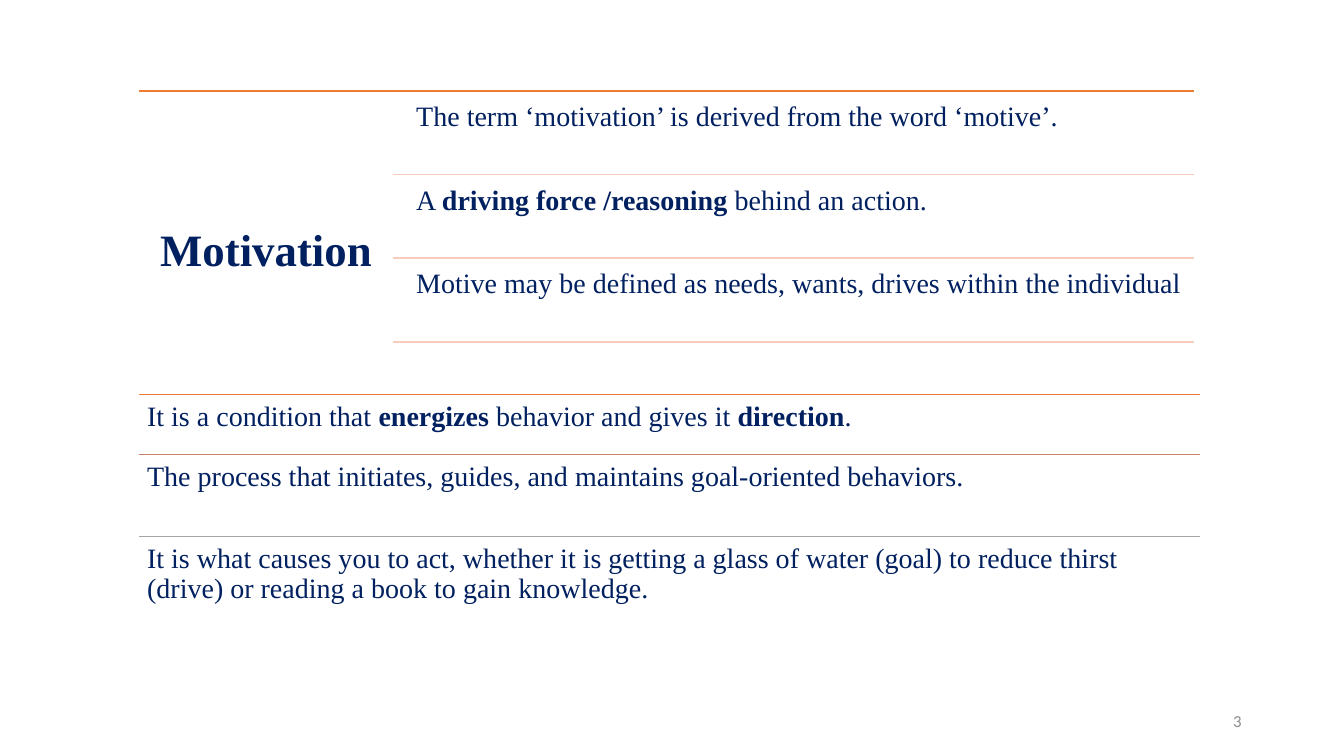
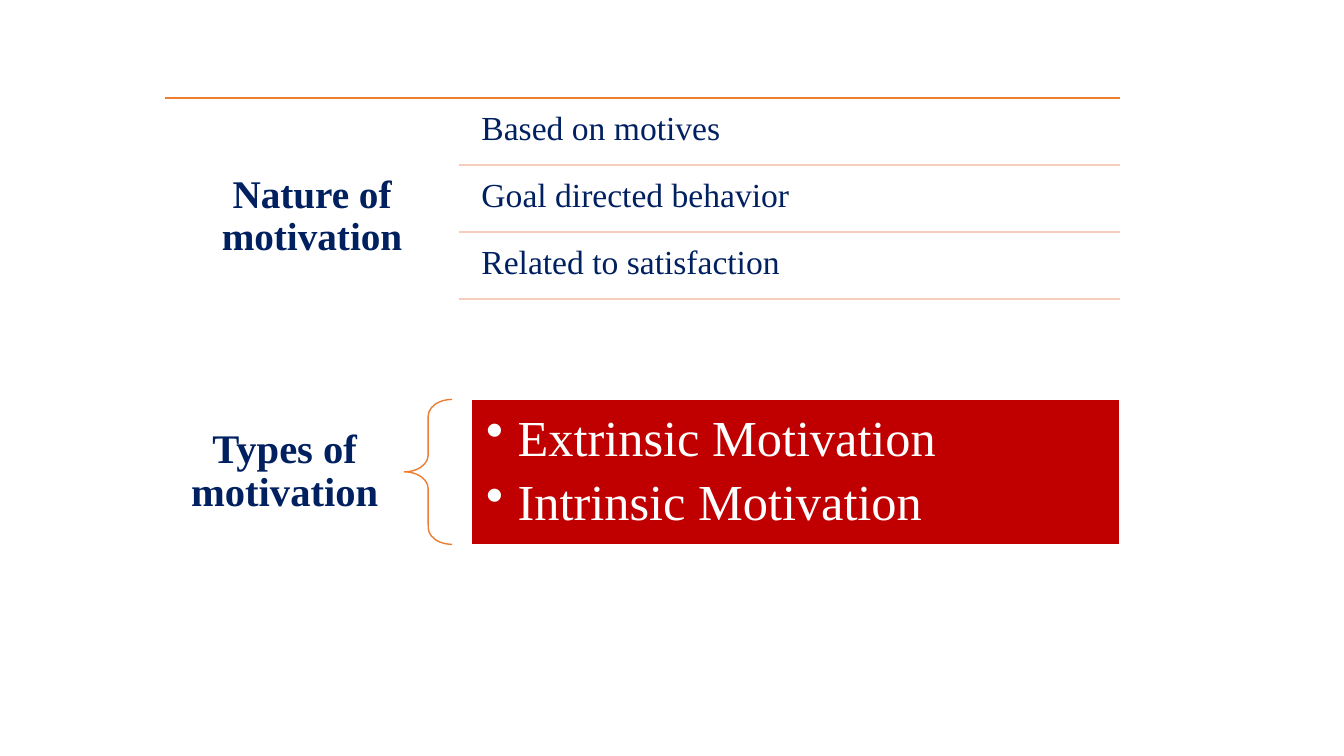
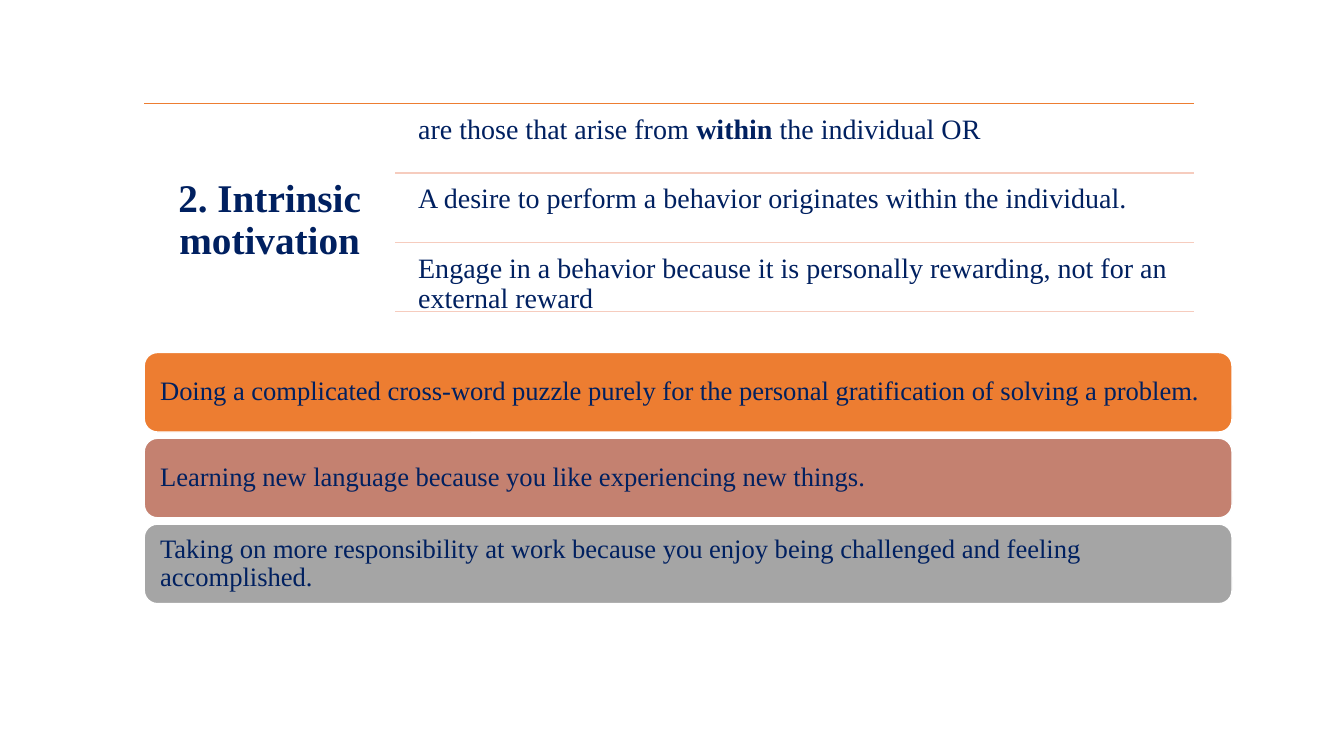
from lxml.etree import SubElement
from pptx import Presentation
from pptx.dml.color import RGBColor
from pptx.enum.shapes import MSO_CONNECTOR, MSO_SHAPE
from pptx.enum.text import MSO_ANCHOR, MSO_AUTO_SIZE, PP_ALIGN
from pptx.oxml.ns import qn
from pptx.util import Pt

NAVY, ORANGE, ROSE, GRAY = "002060", "ED7D31", "C48170", "A5A5A5"
PALE, RED, WHITE, PAGE_GRAY = "F6CCBE", "C00000", "FFFFFF", "8C8C8C"
SERIF = "Times New Roman"
ACCENTS = (ORANGE, ROSE, GRAY)

# Text between ** marks is bold. Lengths are in points.
OUTLINES = [
    dict(title="Motivation", size=32, title_y=163, row_size=20,
         left=99.4, top=64.9, split=280.8, right=852.9, pitch=59.75, indent=10.8, inset=5.7,
         rows=["The term ‘motivation’ is derived from the word ‘motive’.",
               "A **driving force /reasoning** behind an action.",
               "Motive may be defined as needs, wants, drives within the individual"]),
    dict(title="Nature of motivation", size=28, title_y=124.6, row_size=24,
         left=118, top=70, split=327.8, right=800, pitch=47.9, indent=9, inset=7.2,
         rows=["Based on motives", "Goal directed behavior", "Related to satisfaction"]),
    dict(title="2. Intrinsic motivation", size=28, title_y=127.5, row_size=20,
         left=103, top=74, split=282.2, right=853.2, pitch=49.5, indent=10.8, inset=5.7,
         rows=["are those that arise from **within** the individual OR",
               "A desire to perform a behavior originates within the individual.",
               "Engage in a behavior because it is personally rewarding, "
               "not for an external reward"]),
]
DEFINITIONS = [
    (282, "It is a condition that **energizes** behavior and gives it **direction**."),
    (324.8, "The process that initiates, guides, and maintains goal-oriented behaviors."),
    (383.2, "It is what causes you to act, whether it is getting a glass of water (goal) "
            "to reduce thirst (drive) or reading a book to gain knowledge."),
]
TYPES = ["Extrinsic Motivation", "Intrinsic Motivation"]
EXAMPLES = [
    "Doing a complicated cross-word puzzle purely for the personal gratification "
    "of solving a problem.",
    "Learning new language because you like experiencing new things.",
    "Taking on more responsibility at work because you enjoy being challenged "
    "and feeling accomplished.",
]


def rgb(color):
    return RGBColor.from_string(color)


def write(shape, text, size=20, color=NAVY, font=SERIF, bold=False, align=PP_ALIGN.LEFT,
          anchor=MSO_ANCHOR.TOP, inset=(5.7, 5.7), bullet=0, after=0, spacing=0.9):
    """Fill a shape with one paragraph per line; bullet is the hanging indent."""
    tf = shape.text_frame
    tf.word_wrap, tf.auto_size, tf.vertical_anchor = True, MSO_AUTO_SIZE.NONE, anchor
    tf.margin_left = tf.margin_right = Pt(inset[0])
    tf.margin_top = tf.margin_bottom = Pt(inset[1])
    for i, line in enumerate(text.split("\n")):
        p = tf.add_paragraph() if i else tf.paragraphs[0]
        p.alignment, p.line_spacing = align, spacing
        p.space_before, p.space_after = Pt(0), Pt(after)
        if bullet:
            pPr = p._p.get_or_add_pPr()
            pPr.set("marL", str(Pt(bullet)))
            pPr.set("indent", str(-Pt(bullet)))
            SubElement(pPr, qn("a:buChar")).set("char", "•")
        for j, part in enumerate(line.split("**")):
            r = p.add_run()
            r.text = part
            r.font.size, r.font.name = Pt(size), font
            r.font.bold = bold or j % 2 == 1
            r.font.color.rgb = rgb(color)


def text_box(s, x, y, w, h, text, **fmt):
    write(s.shapes.add_textbox(Pt(x), Pt(y), Pt(w), Pt(h)), text, **fmt)


def rule(s, x1, x2, y, color):
    line = s.shapes.add_connector(MSO_CONNECTOR.STRAIGHT, Pt(x1), Pt(y), Pt(x2), Pt(y))
    line.line.color.rgb, line.line.width = rgb(color), Pt(1)
    SubElement(line._element.spPr, qn("a:effectLst"))


def add_shape(s, kind, x, y, w, h, line, fill=None):
    sp = s.shapes.add_shape(kind, Pt(x), Pt(y), Pt(w), Pt(h))
    sp.shadow.inherit = False
    sp.line.color.rgb, sp.line.width = rgb(line), Pt(1)
    if fill:
        sp.fill.solid()
        sp.fill.fore_color.rgb = rgb(fill)
    else:
        sp.fill.background()
    return sp


def outline_slide(prs, o):
    """Add a slide with its title at the left and ruled rows at the right."""
    s = prs.slides.add_slide(prs.slide_layouts[5])
    left, top, split, right, pitch = (o[k] for k in ("left", "top", "split", "right", "pitch"))
    title = s.shapes.title
    title.left, title.top = Pt(left), Pt(o["title_y"])
    title.width, title.height = Pt(split - left), Pt(80)
    write(title, o["title"], size=o["size"], bold=True, align=PP_ALIGN.CENTER,
          inset=(o["inset"], 0))
    rule(s, left, right, top, ORANGE)
    x = split + o["indent"]
    for i, row in enumerate(o["rows"]):
        text_box(s, x, top + 2.6 + i * pitch, right - x, pitch - 2.6, row,
                 size=o["row_size"], inset=(o["inset"], o["inset"]))
        rule(s, split, right, top + (i + 1) * pitch, PALE)
    return s


def add_definitions(s):
    for (y, text), color in zip(DEFINITIONS, ACCENTS):
        rule(s, 99.4, 857.5, y, color)
        text_box(s, 99.4, y, 757.6, 57, text)
    text_box(s, 678, 500.4, 216, 28.8, "3", size=12, color=PAGE_GRAY, font="Calibri",
             align=PP_ALIGN.RIGHT, anchor=MSO_ANCHOR.MIDDLE, inset=(7.2, 3.6), spacing=1)


def add_types(s):
    y, h = 285.3, 103.5
    text_box(s, 118, y, 170.8, h, "Types of motivation", size=29, bold=True,
             align=PP_ALIGN.CENTER, anchor=MSO_ANCHOR.MIDDLE, inset=(16.5, 5.7))
    brace = add_shape(s, MSO_SHAPE.LEFT_BRACE, 288.8, y, 34.1, h, ORANGE)
    brace.adjustments[0] = 0.35
    panel = add_shape(s, MSO_SHAPE.RECTANGLE, 336.5, y, 463.5, h, WHITE, RED)
    write(panel, "\n".join(TYPES), size=36, color=WHITE, anchor=MSO_ANCHOR.MIDDLE,
          inset=(10.8, 10.8), bullet=22.5, after=7)


def add_examples(s):
    for i, (text, color) in enumerate(zip(EXAMPLES, ACCENTS)):
        bar = add_shape(s, MSO_SHAPE.ROUNDED_RECTANGLE, 103, 251.8 + i * 61.3, 777, 56.8,
                        WHITE, color)
        write(bar, text, size=19, anchor=MSO_ANCHOR.MIDDLE, inset=(8.6, 5.7))


def main():
    prs = Presentation()
    prs.slide_width, prs.slide_height = Pt(960), Pt(540)
    for outline, add_details in zip(OUTLINES, (add_definitions, add_types, add_examples)):
        add_details(outline_slide(prs, outline))
    prs.save("out.pptx")


if __name__ == "__main__":
    main()
